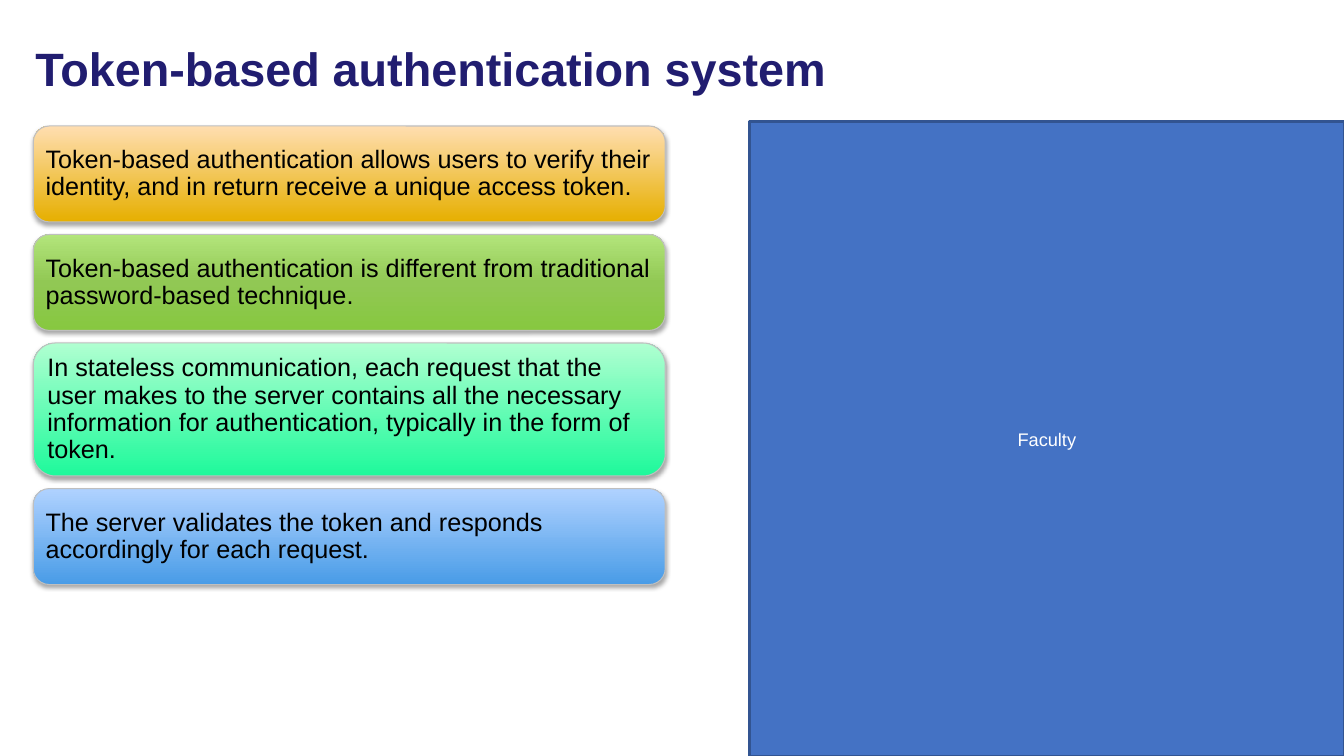
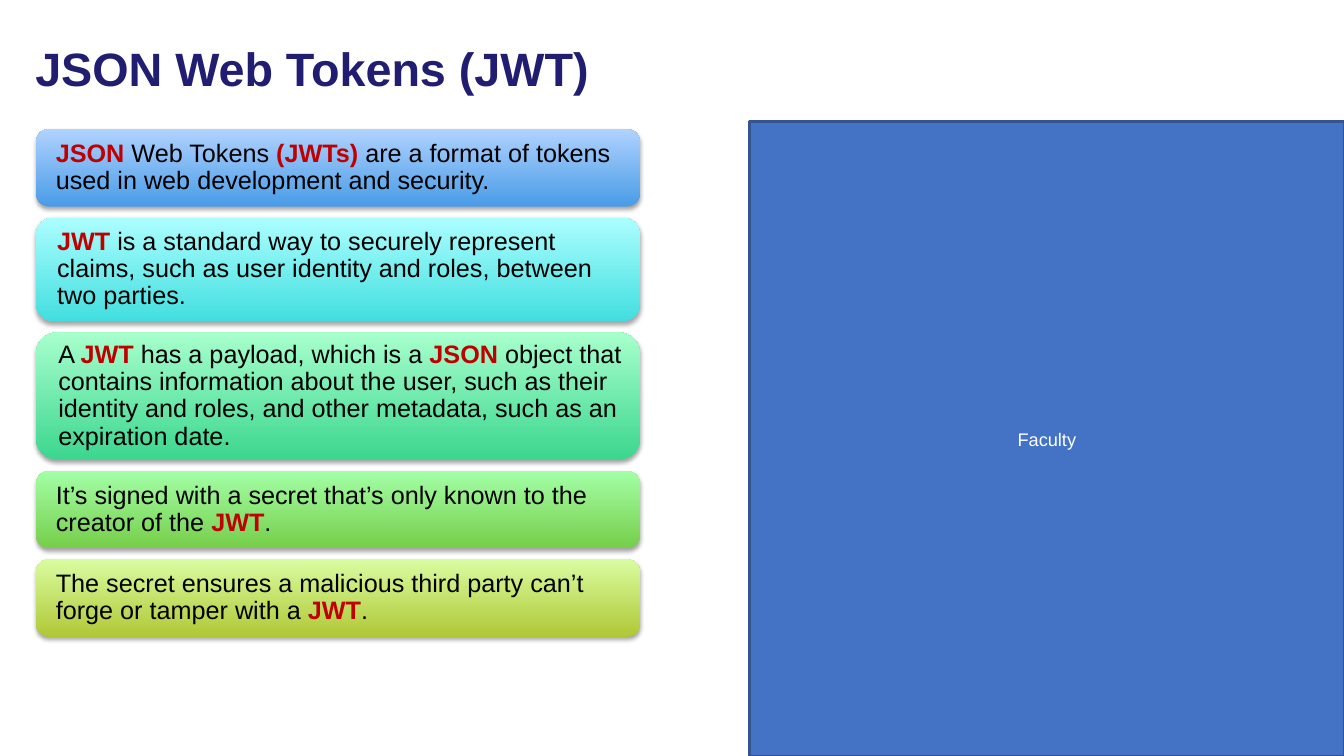
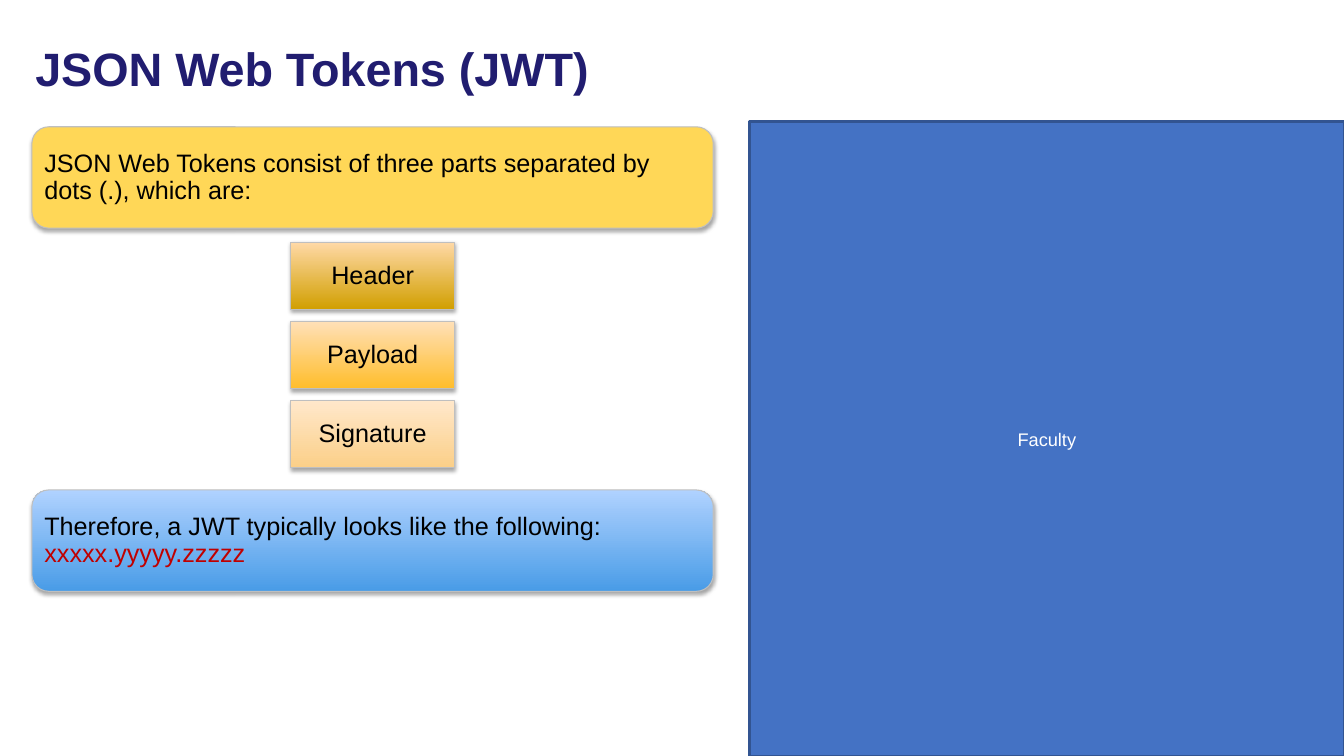
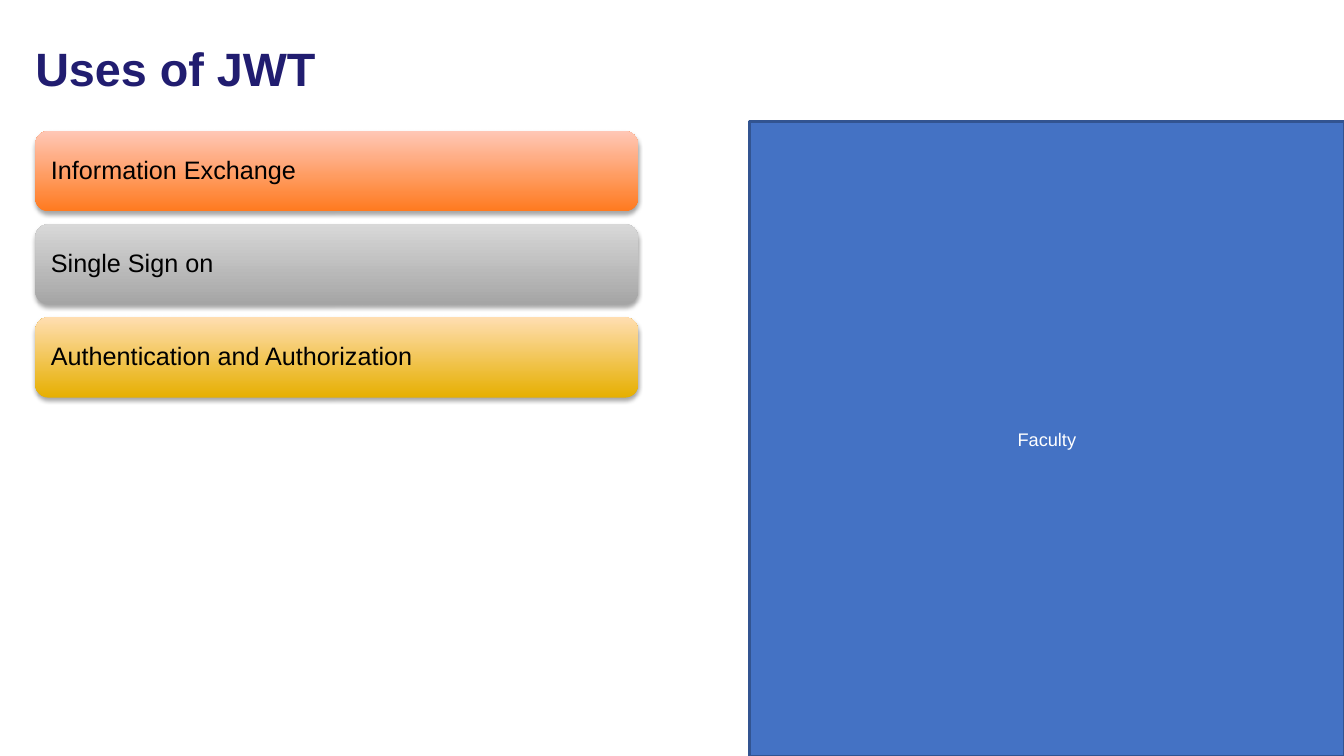
"""Build four slides on token-based login and JSON Web Tokens."""
from copy import deepcopy
from dataclasses import dataclass
from typing import Any

from lxml.etree import SubElement
from pptx import Presentation
from pptx.dml.color import RGBColor
from pptx.enum.shapes import MSO_SHAPE
from pptx.enum.text import MSO_ANCHOR, MSO_AUTO_SIZE, PP_ALIGN
from pptx.oxml.ns import qn
from pptx.util import Pt

NAVY = RGBColor(0x21, 0x1D, 0x70)
BLACK = RGBColor(0, 0, 0)
WHITE = RGBColor(255, 255, 255)
RED = RGBColor(0xC0, 0, 0)
SILVER = RGBColor(0xBF, 0xBF, 0xBF)
PANEL = RGBColor(0x44, 0x72, 0xC4)
EDGE = RGBColor(0x32, 0x54, 0x91)
YELLOW = RGBColor(0xFF, 0xD7, 0x57)

GOLD = (RGBColor(0xE6, 0xAF, 0x00), RGBColor(0xFF, 0xDE, 0xB1))
LEAF = (RGBColor(0x87, 0xC8, 0x40), RGBColor(0x91, 0xC8, 0x54), RGBColor(0xB3, 0xE5, 0x7B))
MINT = (RGBColor(0x1E, 0xF9, 0x9B), RGBColor(0xB0, 0xFF, 0xD1))
SKY = (RGBColor(0x49, 0x9C, 0xE7), RGBColor(0xB0, 0xD2, 0xFF))
AQUA = (RGBColor(0x42, 0xDE, 0xDF), RGBColor(0xAC, 0xFE, 0xFF))
JADE = (RGBColor(0x3C, 0xD6, 0x8F), RGBColor(0xA7, 0xFF, 0xCC))
GREEN = (RGBColor(0x76, 0xCE, 0x4A), RGBColor(0xA3, 0xFF, 0xA6))
LIME = (RGBColor(0xB0, 0xC8, 0x36), RGBColor(0xD9, 0xFC, 0xA0))
BRONZE = (RGBColor(0xD1, 0x9F, 0x00), RGBColor(0xFF, 0xD9, 0xA7))
AMBER = (RGBColor(0xFF, 0xBD, 0x2B), RGBColor(0xFF, 0xE0, 0xB8))
CREAM = (RGBColor(0xFB, 0xCF, 0x88), RGBColor(0xFF, 0xE8, 0xCB))
CORAL = (RGBColor(0xFF, 0x7A, 0x1F), RGBColor(0xFF, 0xC7, 0xB6))
GREY = (RGBColor(0xA5, 0xA5, 0xA5), RGBColor(0xD8, 0xD8, 0xD8))

TITLE = {"name": "Arial", "size": Pt(33.4), "bold": True}
BODY = {"name": "Arial", "size": Pt(18), "bold": False}
LABEL = {"name": "Arial", "size": Pt(13)}
PLACE = {"left": Pt(18), "top": Pt(18), "width": Pt(850.3), "height": Pt(65.5)}
SHADE = {"blurRad": Pt(3.1), "dist": Pt(1.8), "dir": 5400000, "rotWithShape": 0}


@dataclass(frozen=True)
class Card:
    """A filled box; words between stars are marked red."""
    text: str
    height: float
    fill: tuple[RGBColor, ...]


@dataclass(frozen=True)
class Stack:
    """A column of cards with equal gaps."""
    left: float
    top: float
    width: float
    gap: float
    cards: tuple[Card, ...]
    inset: float = 5.4
    line: bool = True
    bold: bool = True
    form: MSO_SHAPE = MSO_SHAPE.ROUNDED_RECTANGLE
    align: PP_ALIGN = PP_ALIGN.LEFT


@dataclass(frozen=True)
class Page:
    """A title and its stacks."""
    title: str
    stacks: tuple[Stack, ...]


PAGES = (
    Page("Token-based authentication system", (
        Stack(23.8, 90, 451.4, 9, (
            Card("Token-based authentication allows users to verify their identity, and in return "
                 "receive a unique access token.", 68.5, GOLD),
            Card("Token-based authentication is different from traditional password-based "
                 "technique.", 68.5, LEAF),
            Card("In stateless communication, each request that the user makes to the server "
                 "contains all the necessary information for authentication, typically in the "
                 "form of token.", 95, MINT),
            Card("The server validates the token and responds accordingly for each request.",
                 68.5, SKY))),)),
    Page("JSON Web Tokens (JWT)", (
        Stack(25.8, 92.2, 431.3, 7.8, (
            Card("*JSON* Web Tokens *(JWTs) *are a format of tokens used in web development and "
                 "security.", 55.4, SKY),
            Card("*JWT* is a standard way to securely represent claims, such as user identity "
                 "and roles, between two parties.", 74.2, AQUA),
            Card("A *JWT* has a payload, which is a *JSON* object that contains information "
                 "about the user, such as their identity and roles, and other metadata, such as "
                 "an expiration date.", 91.2, JADE),
            Card("It’s signed with a secret that’s only known to the creator of the *JWT*.",
                 55.4, GREEN),
            Card("The secret ensures a malicious third party can’t forge or tamper with a *JWT*.",
                 55.4, LIME)), inset=11.4, line=False),)),
    Page("JSON Web Tokens (JWT)", (
        Stack(22.8, 90.6, 486.7, 187, (
            Card("JSON Web Tokens consist of three parts separated by dots (.), which are:",
                 72.4, (YELLOW,)),
            Card("Therefore, a JWT typically looks like the following: *xxxxx.yyyyy.zzzzz*",
                 72.4, SKY)), bold=False),
        Stack(207.8, 173, 116.8, 8.3, (
            Card("Header", 48.2, BRONZE),
            Card("Payload", 48.2, AMBER),
            Card("Signature", 48.2, CREAM)), form=MSO_SHAPE.RECTANGLE, align=PP_ALIGN.CENTER))),
    Page("Uses of JWT", (
        Stack(25.2, 93.6, 430.6, 9, (
            Card("Information Exchange", 57.5, CORAL),
            Card("Single Sign on", 57.5, GREY),
            Card("Authentication and Authorization", 57.5, GOLD)), inset=8.4, line=False),)),
)


def apply(item: Any, look: dict[str, Any]) -> None:
    """Set each named value on the item."""
    for name, value in look.items():
        setattr(item, name, value)


def write(para: Any, text: str, look: dict[str, Any], tint: RGBColor) -> None:
    """Add one run in the given look."""
    run = para.add_run()
    run.text = text
    apply(run.font, look)
    run.font.color.rgb = tint


def paint(shape: Any, tints: tuple[RGBColor, ...]) -> None:
    """Fill with one colour, or blend evenly from the bottom up."""
    if len(tints) == 1:
        shape.fill.solid()
        shape.fill.fore_color.rgb = tints[0]
        return
    shape.fill.gradient()
    shape.fill.gradient_angle = 90
    stops = next(shape.element.iter(qn("a:gsLst")))
    for _ in tints[2:]:
        stops.insert(1, deepcopy(stops[0]))
    for rank, (stop, tint) in enumerate(zip(shape.fill.gradient_stops, tints)):
        stop.position = rank / (len(tints) - 1)
        stop.color.rgb = tint


def shade(shape: Any) -> None:
    """Give the shape a soft shadow below."""
    shape.shadow.inherit = False
    glow = SubElement(next(shape.element.iter(qn("a:effectLst"))), qn("a:outerShdw"),
                      {name: str(value) for name, value in SHADE.items()})
    tint = SubElement(glow, qn("a:srgbClr"), val=str(BLACK))
    SubElement(tint, qn("a:alpha"), val="35000")


def draw(slide: Any, stack: Stack) -> None:
    """Draw the cards of a stack from the top down."""
    top = stack.top
    for card in stack.cards:
        shape = slide.shapes.add_shape(stack.form, Pt(stack.left), Pt(top),
                                       Pt(stack.width), Pt(card.height))
        paint(shape, card.fill)
        shade(shape)
        if stack.line:
            shape.line.color.rgb = SILVER
            shape.line.width = Pt(0.75)
        else:
            shape.line.fill.background()
        frame = shape.text_frame
        apply(frame, {"word_wrap": True, "vertical_anchor": MSO_ANCHOR.MIDDLE,
                      "margin_left": Pt(stack.inset), "margin_right": Pt(5.4),
                      "margin_top": Pt(5.4), "margin_bottom": Pt(5.4)})
        para = frame.paragraphs[0]
        apply(para, {"alignment": stack.align, "line_spacing": 0.9})
        for rank, part in enumerate(card.text.split("*")):
            marked = rank % 2 == 1
            if part:
                write(para, part, BODY | {"bold": marked and stack.bold},
                      RED if marked else BLACK)
        top += card.height + stack.gap


def share(slide: Any, layout: Any) -> None:
    """Make the side panel and move it to the layout."""
    panel = slide.shapes.add_shape(MSO_SHAPE.RECTANGLE, Pt(535.5), Pt(87), Pt(424.5), Pt(453))
    paint(panel, (PANEL,))
    panel.shadow.inherit = False
    panel.line.color.rgb = EDGE
    panel.line.width = Pt(2)
    panel.text_frame.vertical_anchor = MSO_ANCHOR.MIDDLE
    para = panel.text_frame.paragraphs[0]
    para.alignment = PP_ALIGN.CENTER
    write(para, "Faculty", LABEL, WHITE)
    layout.shapes.element.append(panel.element)


def main() -> None:
    """Build and save the deck."""
    deck = Presentation()
    apply(deck, {"slide_width": Pt(960), "slide_height": Pt(540)})
    layout = deck.slide_layouts[5]
    head = layout.placeholders[0]
    apply(head, PLACE)
    apply(head.text_frame, {"auto_size": MSO_AUTO_SIZE.NONE, "word_wrap": True,
                            "vertical_anchor": MSO_ANCHOR.MIDDLE})
    for page in PAGES:
        slide = deck.slides.add_slide(layout)
        para = slide.shapes.title.text_frame.paragraphs[0]
        apply(para, {"alignment": PP_ALIGN.LEFT, "line_spacing": 0.9})
        write(para, page.title, TITLE, NAVY)
        for stack in page.stacks:
            draw(slide, stack)
    share(deck.slides[0], layout)
    deck.save("out.pptx")


if __name__ == "__main__":
    main()
